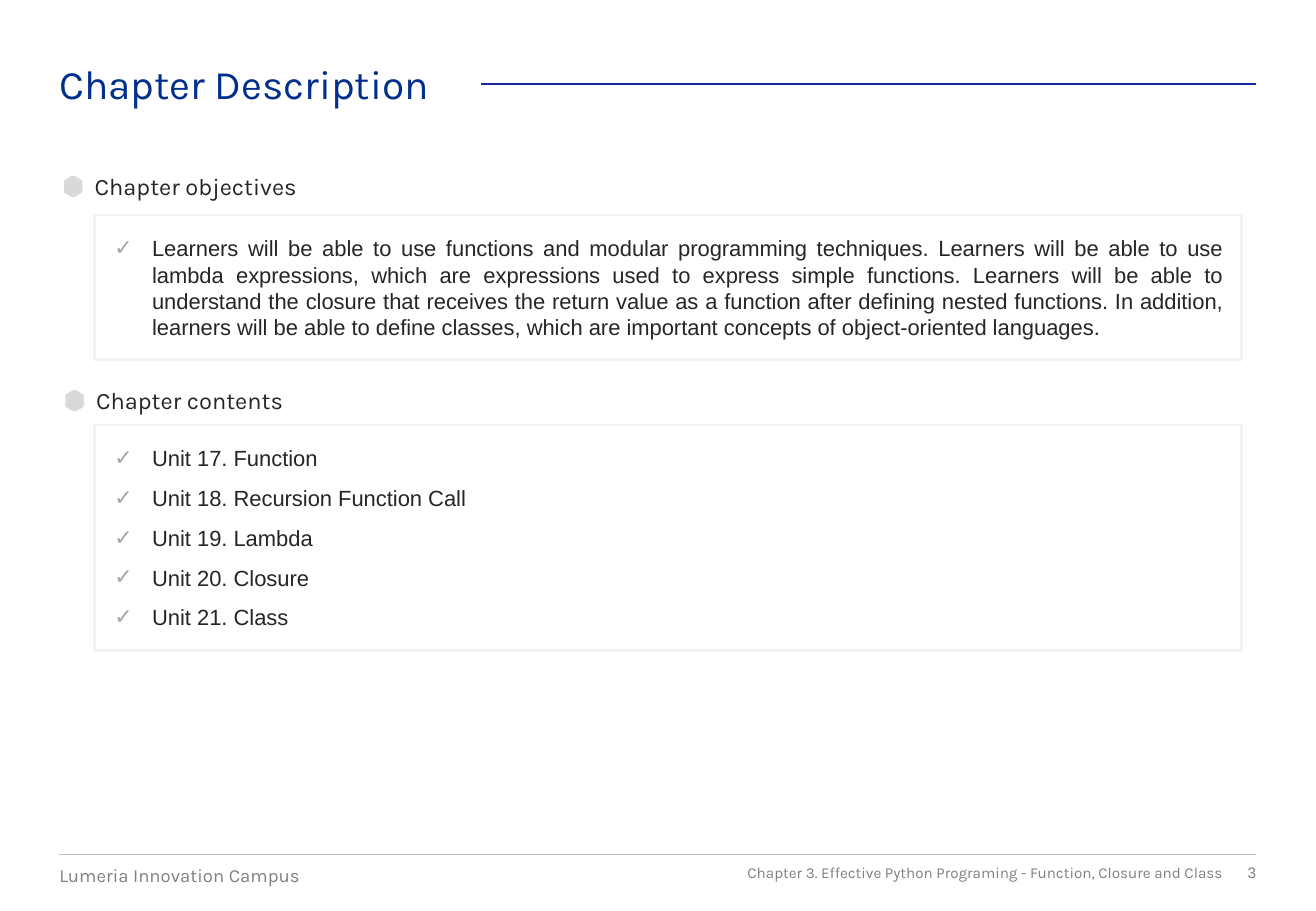
from lxml.etree import SubElement
from pptx import Presentation
from pptx.dml.color import RGBColor
from pptx.enum.shapes import MSO_CONNECTOR, MSO_SHAPE
from pptx.enum.text import MSO_ANCHOR, MSO_AUTO_SIZE, PP_ALIGN
from pptx.oxml.ns import qn
from pptx.util import Cm, Pt

LEFT_MARGIN = 1.24
RIGHT_MARGIN = 26.26
BOX_LEFT = 1.98
BOX_WIDTH = 23.98
FOOTER_TOP = 18.06
GREY = "808080"
INK = "262626"

OBJECTIVES = [
    "Learners will be able to use functions and modular programming techniques. "
    "Learners will be able to use lambda expressions, which are expressions used to "
    "express simple functions. Learners will be able to understand the closure that "
    "receives the return value as a function after defining nested functions. In "
    "addition, learners will be able to define classes, which are important concepts "
    "of object-oriented languages."
]
UNITS = [
    "Unit 17. Function",
    "Unit 18. Recursion Function Call",
    "Unit 19. Lambda",
    "Unit 20. Closure",
    "Unit 21. Class",
]


def color(value):
    return RGBColor.from_string(value)


def place(shape, left, top, width, height):
    shape.left, shape.top = Cm(left), Cm(top)
    shape.width, shape.height = Cm(width), Cm(height)


def set_frame(text_frame, inset=0, anchor=MSO_ANCHOR.TOP):
    text_frame.word_wrap = True
    text_frame.auto_size = MSO_AUTO_SIZE.NONE
    text_frame.vertical_anchor = anchor
    text_frame.margin_left = text_frame.margin_right = Cm(inset)
    text_frame.margin_top = text_frame.margin_bottom = Cm(inset)


def set_font(paragraph, name, size, value):
    for run in paragraph.runs:
        run.font.name = name
        run.font.size = Pt(size)
        run.font.color.rgb = color(value)


def fill_text(shape, text, size, value, font="Karla", align=PP_ALIGN.LEFT,
              anchor=MSO_ANCHOR.TOP):
    set_frame(shape.text_frame, anchor=anchor)
    shape.text_frame.text = text
    paragraph = shape.text_frame.paragraphs[0]
    paragraph.alignment = align
    set_font(paragraph, font, size, value)


def add_text(slide, bounds, text, size, value, **options):
    shape = slide.shapes.add_textbox(*(Cm(length) for length in bounds))
    fill_text(shape, text, size, value, **options)


def add_rule(slide, left, top, value, width):
    rule = slide.shapes.add_connector(
        MSO_CONNECTOR.STRAIGHT, Cm(left), Cm(top), Cm(RIGHT_MARGIN), Cm(top))
    rule.line.color.rgb = color(value)
    rule.line.width = Pt(width)
    SubElement(rule._element.spPr, qn("a:effectLst"))


def add_hexagon(slide, center_x, center_y):
    quarter = [(0, 0.33), (0.08, 0.32), (0.23, 0.23), (0.29, 0.17), (0.3, 0.09)]
    right = quarter + [(x, -y) for x, y in reversed(quarter)]
    outline = right + [(-x, y) for x, y in reversed(right[1:-1])]
    points = [(Cm(center_x + x), Cm(center_y + y)) for x, y in outline]
    builder = slide.shapes.build_freeform(*points[0])
    builder.add_line_segments(points[1:], close=True)
    hexagon = builder.convert_to_shape()
    hexagon.shadow.inherit = False
    hexagon.fill.solid()
    hexagon.fill.fore_color.rgb = color("D9D9D9")
    hexagon.line.color.rgb = color("FFFFFF")
    hexagon.line.width = Pt(6)


def add_heading(slide, left, top, text):
    add_text(slide, (left, top, BOX_WIDTH, 0.61), text, 14, INK)
    add_hexagon(slide, left - 0.45, top + 0.3)


def add_check_mark(paragraph):
    properties = paragraph._p.get_or_add_pPr()
    properties.set("marL", str(Cm(0.79)))
    properties.set("indent", str(-Cm(0.79)))
    bullet_color = SubElement(properties, qn("a:buClr"))
    SubElement(bullet_color, qn("a:srgbClr")).set("val", "A5A5A5")
    SubElement(properties, qn("a:buFont")).set("typeface", "Arial")
    SubElement(properties, qn("a:buChar")).set("char", "✓")


def add_check_box(slide, top, height, items, align=PP_ALIGN.LEFT):
    box = slide.shapes.add_shape(
        MSO_SHAPE.RECTANGLE, Cm(BOX_LEFT), Cm(top), Cm(BOX_WIDTH), Cm(height))
    box.shadow.inherit = False
    box.fill.background()
    box.line.color.rgb = color("F2F2F2")
    box.line.width = Pt(1.5)
    set_frame(box.text_frame, inset=0.41)
    box.text_frame.text = "\n".join(items)
    for paragraph in box.text_frame.paragraphs:
        paragraph.alignment = align
        paragraph.space_after = Pt(8)
        add_check_mark(paragraph)
        set_font(paragraph, "Arial", 13, INK)


def add_title(slide):
    title = slide.shapes.title
    place(title, LEFT_MARGIN, 1.24, 24.41, 1.02)
    fill_text(title, "Chapter Description", 24, "002F8E")
    add_rule(slide, 10.06, 1.75, "1428A0", 1)


def add_footer(slide):
    add_rule(slide, LEFT_MARGIN, 17.86, "BFBFBF", 0.5)
    add_text(slide, (LEFT_MARGIN, FOOTER_TOP, 8.03, 0.48),
             "Lumeria Innovation Campus", 11, GREY)
    add_text(slide, (13.23, FOOTER_TOP, 12.32, 0.38),
             "Chapter 3. Effective Python Programing - Function, Closure and Class",
             9, GREY, align=PP_ALIGN.RIGHT, anchor=MSO_ANCHOR.MIDDLE)
    add_text(slide, (24.56, FOOTER_TOP, 1.7, 0.38), "3", 9, GREY, font="Arial",
             align=PP_ALIGN.RIGHT, anchor=MSO_ANCHOR.MIDDLE)


def main():
    presentation = Presentation()
    presentation.slide_width = Cm(27.51)
    presentation.slide_height = Cm(19.05)
    slide = presentation.slides.add_slide(presentation.slide_layouts[5])
    add_title(slide)
    add_heading(slide, 1.98, 3.6, "Chapter objectives")
    add_check_box(slide, 4.5, 3.02, OBJECTIVES, PP_ALIGN.JUSTIFY)
    add_heading(slide, 2.01, 8.08, "Chapter contents")
    add_check_box(slide, 8.89, 4.72, UNITS)
    add_footer(slide)
    presentation.save("out.pptx")


if __name__ == "__main__":
    main()
